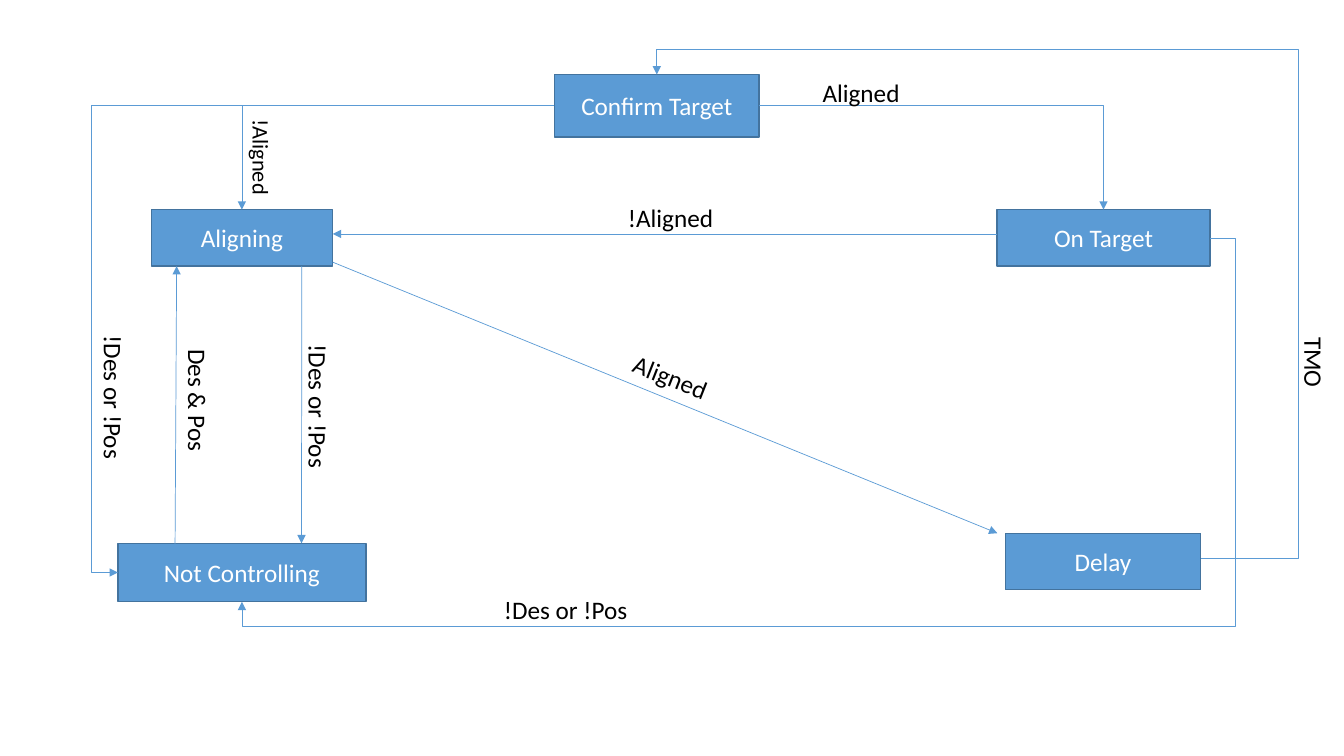
"""Draw the state diagram of a target controller."""
import pptx
import pptx.util
import pptx.dml.color
import pptx.enum.shapes
import pptx.enum.text
import pptx.oxml

BLUE = pptx.dml.color.RGBColor(0x5B, 0x9B, 0xD5)
EDGE = pptx.dml.color.RGBColor(0x43, 0x73, 0x9E)
WHITE = pptx.dml.color.RGBColor(255, 255, 255)
BLACK = pptx.dml.color.RGBColor(0, 0, 0)
FONT = "Calibri"
COLS, ROWS = 13.33, 7.5
CELL = pptx.util.Inches(1)

# state: column, row, columns wide, rows high
STATES = {
    "Not Controlling": (1.17, 5.39, 2.46, 0.58),
    "Confirm Target": (5.5, 0.74, 2.03, 0.62),
    "On Target": (9.89, 2.08, 2.11, 0.56),
    "Delay": (9.97, 5.29, 1.94, 0.56),
    "Aligning": (1.5, 2.08, 1.8, 0.56),
}
# start state and share of its box, end state and share, bend preset, bend column and row
MOVES = [
    ("On Target", (0, 0.43), "Aligning", (1, 0.43), None, ()),
    ("Aligning", (1, 0.93), "Delay", (-0.04, 0), None, ()),
    ("Confirm Target", (0, 0.5), "Aligning", (0.5, 0), "bentConnector2", ()),
    ("Confirm Target", (1, 0.5), "On Target", (0.5, 0), "bentConnector2", ()),
    ("On Target", (1, 0.5), "Not Controlling", (0.5, 1), "bentConnector4", (12.25, 6.22)),
    ("Confirm Target", (0, 0.5), "Not Controlling", (0, 0.5), "bentConnector3", (0.9,)),
    ("Not Controlling", (0.23, 0.3), "Aligning", (0.14, 1), None, ()),
    ("Aligning", (0.83, 1), "Not Controlling", (0.74, 0), None, ()),
    ("Delay", (1, 0.45), "Confirm Target", (0.5, 0), "bentConnector4", (12.88, 0.49)),
]
# text, column, row, columns wide, turn, size, wrap
LABELS = [
    ("Aligned", 6.17, 3.54, 0.98, 21.6, 18, False),
    ("!Aligned", 6.13, 1.96, 1.06, 0, 18, False),
    ("!Aligned", 2.05, 1.44, 1.08, 90, 16, True),
    ("Aligned", 8.06, 0.72, 0.98, 0, 18, False),
    ("TMO", 12.68, 3.4, 0.71, 90, 18, False),
    ("Des & Pos", 1.35, 3.78, 1.23, 90, 18, False),
    ("!Des or !Pos", 2.44, 3.84, 1.44, 90, 18, False),
    ("!Des or !Pos", 4.9, 5.85, 1.44, 0, 18, False),
    ("!Des or !Pos", 0.41, 3.75, 1.44, 90, 18, False),
]


def scale(*cells):
    return [round(cell * CELL) for cell in cells]


def write(frame, text, size, ink):
    run = frame.paragraphs[0].add_run()
    run.text = text
    run.font.name, run.font.size = FONT, pptx.util.Pt(size)
    run.font.color.rgb = ink


def spot(state, share):
    left, top, wide, high = STATES[state]
    return left + share[0] * wide, top + share[1] * high


def add_state(name, place):
    box = slide.shapes.add_shape(pptx.enum.shapes.MSO_SHAPE.RECTANGLE, *scale(*place))
    box.shadow.inherit = False
    box.fill.solid()
    box.fill.fore_color.rgb = BLUE
    box.line.color.rgb, box.line.width = EDGE, pptx.util.Pt(1)
    frame = box.text_frame
    frame.vertical_anchor = pptx.enum.text.MSO_ANCHOR.MIDDLE
    frame.paragraphs[0].alignment = pptx.enum.text.PP_ALIGN.CENTER
    write(frame, name, 18, WHITE)


def add_move(source, out, target, into, bend, turns):
    start, end = spot(source, out), spot(target, into)
    kinds = pptx.enum.shapes.MSO_CONNECTOR
    kind = kinds.ELBOW if bend else kinds.STRAIGHT
    link = slide.shapes.add_connector(kind, *scale(*start, *end))
    link.line.color.rgb, link.line.width = BLUE, pptx.util.Pt(0.5)
    props = link._element.spPr
    make = pptx.oxml.xmlchemy.OxmlElement
    tail = make("a:tailEnd")
    tail.set("type", "triangle")
    link.line._get_or_add_ln().append(tail)
    props.append(make("a:effectLst"))
    if bend:
        shape = props.prstGeom
        shape.set("prst", bend)
        guides = shape.get_or_add_avLst()
        for i, turn in enumerate(turns):
            share = (turn - start[i]) / (end[i] - start[i])
            guide = make("a:gd")
            guide.set("name", f"adj{i + 1}" if len(turns) > 1 else "adj1")
            guide.set("fmla", f"val {round(share * 100000)}")
            guides.append(guide)


def add_label(text, left, top, wide, turn, size, wrap):
    high = 0.4 if size == 18 else 0.37
    box = slide.shapes.add_textbox(*scale(left, top, wide, high))
    box.rotation = turn
    box.text_frame.word_wrap = wrap
    box.text_frame.auto_size = pptx.enum.text.MSO_AUTO_SIZE.SHAPE_TO_FIT_TEXT
    write(box.text_frame, text, size, BLACK)


deck = pptx.Presentation()
deck.slide_width, deck.slide_height = scale(COLS, ROWS)
slide = deck.slides.add_slide(deck.slide_layouts[6])
for name, place in STATES.items():
    add_state(name, place)
for move in MOVES:
    add_move(*move)
for label in LABELS:
    add_label(*label)
deck.save("out.pptx")
